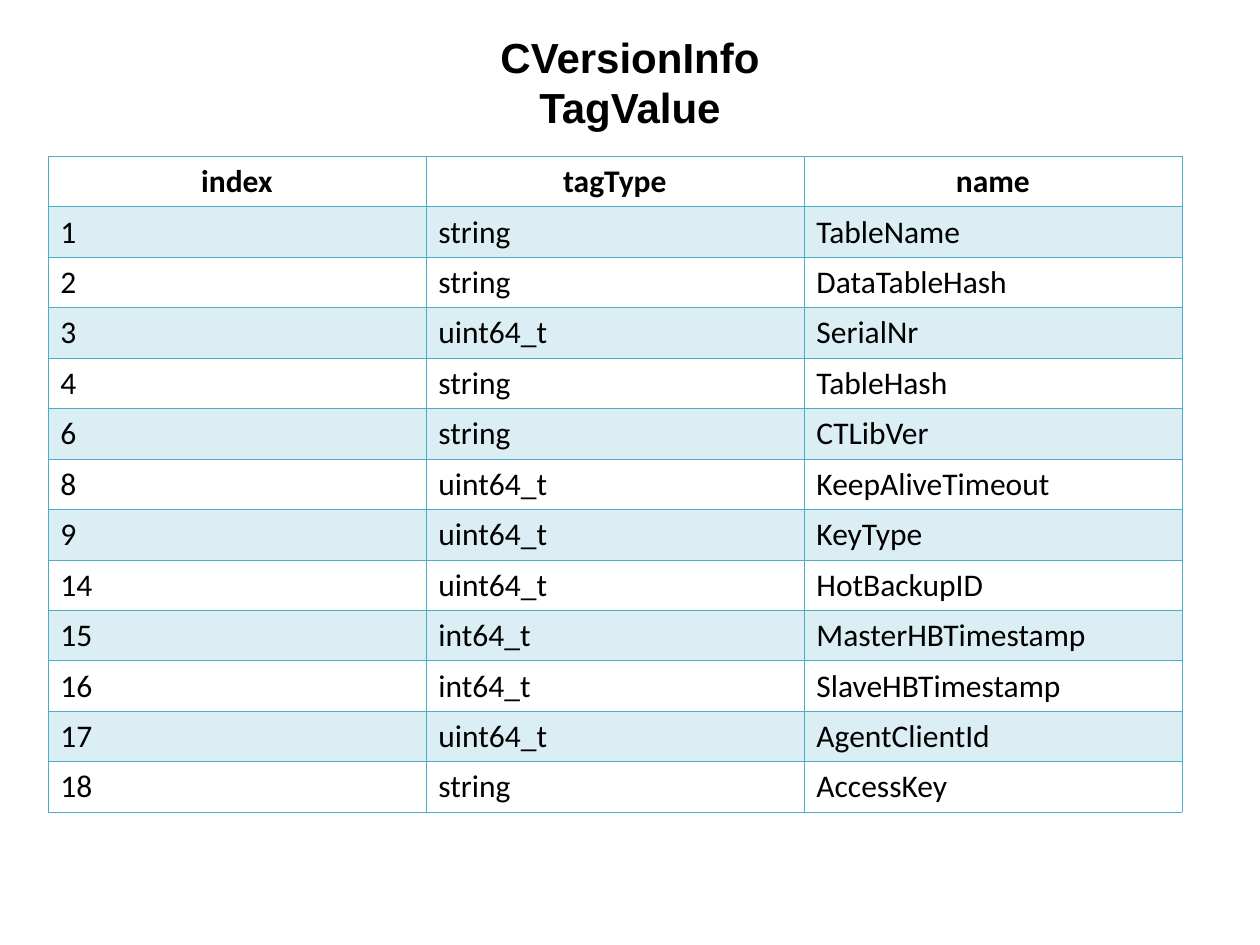
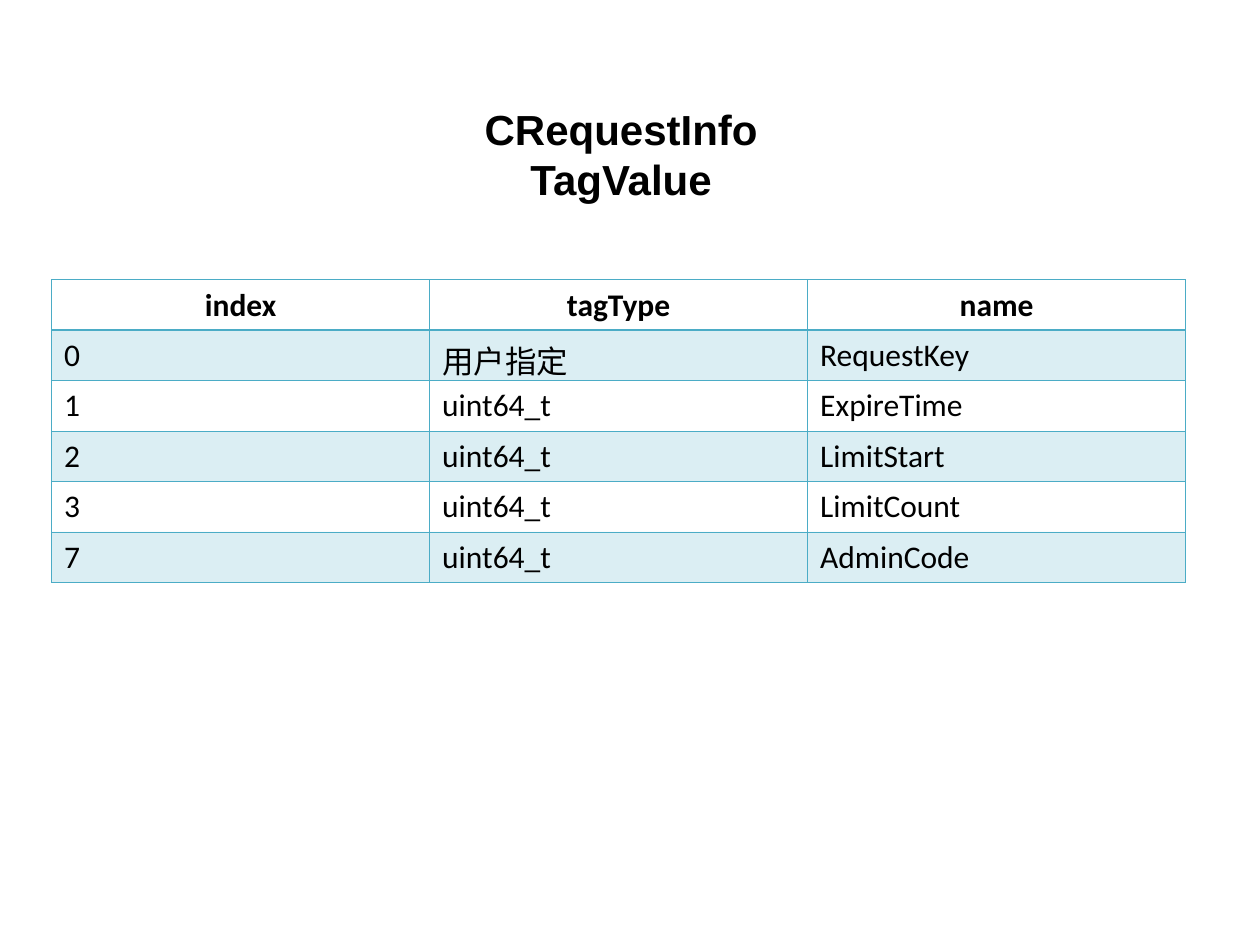
import dataclasses

import lxml.etree
import pptx
import pptx.dml.color
import pptx.enum.text
import pptx.oxml.ns
import pptx.presentation
import pptx.slide
import pptx.table
import pptx.text.text
import pptx.util

Inches = pptx.util.Inches
Pt = pptx.util.Pt
qn = pptx.oxml.ns.qn

BLACK = pptx.dml.color.RGBColor(0x00, 0x00, 0x00)
TEAL = pptx.dml.color.RGBColor(0x4B, 0xAC, 0xC6)
BAND_OPACITY = 20
THIN, THICK = Pt(0.45), Pt(0.96)

PAGE_WIDTH, PAGE_HEIGHT = Inches(10), Inches(7.5)
COLUMN_WIDTH = int(PAGE_WIDTH * 0.3)
ROW_HEIGHT = Inches(0.4)
TITLE_WIDTH, TITLE_HEIGHT = Inches(2.74), Inches(0.9)
HEADINGS = ("index", "tagType", "name")


@dataclasses.dataclass(frozen=True)
class TagPage:
    """Title lines, tag rows and the left and top inches of title and table."""
    title: tuple[str, ...]
    title_at: tuple[float, float]
    table_at: tuple[float, float]
    tags: tuple[tuple[str, str, str], ...]


PAGES = (
    TagPage(("CVersionInfo TagValue",), (3.63, 0.2), (0.38, 1.24), (
        ("1", "string", "TableName"),
        ("2", "string", "DataTableHash"),
        ("3", "uint64_t", "SerialNr"),
        ("4", "string", "TableHash"),
        ("6", "string", "CTLibVer"),
        ("8", "uint64_t", "KeepAliveTimeout"),
        ("9", "uint64_t", "KeyType"),
        ("14", "uint64_t", "HotBackupID"),
        ("15", "int64_t", "MasterHBTimestamp"),
        ("16", "int64_t", "SlaveHBTimestamp"),
        ("17", "uint64_t", "AgentClientId"),
        ("18", "string", "AccessKey"),
    )),
    TagPage(("CRequestInfo", "TagValue"), (3.56, 0.77), (0.41, 2.22), (
        ("0", "用户指定", "RequestKey"),
        ("1", "uint64_t", "ExpireTime"),
        ("2", "uint64_t", "LimitStart"),
        ("3", "uint64_t", "LimitCount"),
        ("7", "uint64_t", "AdminCode"),
    )),
)


def style_paragraph(para: pptx.text.text._Paragraph, font_name: str, size: int,
                    bold: bool, centred: bool) -> None:
    align = pptx.enum.text.PP_ALIGN
    para.alignment = align.CENTER if centred else align.LEFT
    para.font.name = font_name
    para.font.size = Pt(size)
    para.font.bold = bold
    para.font.color.rgb = BLACK


def add_title(slide: pptx.slide.Slide, page: TagPage) -> None:
    left, top = map(Inches, page.title_at)
    box = slide.shapes.add_textbox(left, top, TITLE_WIDTH, TITLE_HEIGHT)
    frame = box.text_frame
    frame.word_wrap = True
    frame.auto_size = pptx.enum.text.MSO_AUTO_SIZE.SHAPE_TO_FIT_TEXT
    frame.text = "\n".join(page.title)
    for para in frame.paragraphs:
        style_paragraph(para, "Arial", 24, bold=True, centred=True)


def add_borders(cell: pptx.table._Cell, top: int, bottom: int) -> None:
    """Rule all four sides; call before filling, as fills must follow lines."""
    properties = cell._tc.get_or_add_tcPr()
    for side, width in (("L", THIN), ("R", THIN), ("T", top), ("B", bottom)):
        line = lxml.etree.SubElement(properties, qn(f"a:ln{side}"), w=str(int(width)))
        fill = lxml.etree.SubElement(line, qn("a:solidFill"))
        lxml.etree.SubElement(fill, qn("a:srgbClr"), val=str(TEAL))


def fill_band(cell: pptx.table._Cell) -> None:
    cell.fill.solid()
    cell.fill.fore_color.rgb = TEAL
    colour = cell._tc.tcPr.find(f"{qn('a:solidFill')}/{qn('a:srgbClr')}")
    lxml.etree.SubElement(colour, qn("a:alpha"), val=str(BAND_OPACITY * 1000))


def fill_cell(cell: pptx.table._Cell, text: str, row: int) -> None:
    is_heading = row == 0
    add_borders(cell, top=THICK if row == 1 else THIN,
                bottom=THICK if is_heading else THIN)
    if row % 2:
        fill_band(cell)
    else:
        cell.fill.background()
    cell.vertical_anchor = pptx.enum.text.MSO_ANCHOR.MIDDLE
    cell.text = text
    para = cell.text_frame.paragraphs[0]
    style_paragraph(para, "Calibri", 18, bold=is_heading, centred=is_heading)
    para.space_before = Pt(4.5)


def add_tag_table(slide: pptx.slide.Slide, page: TagPage) -> None:
    rows = (HEADINGS, *page.tags)
    left, top = map(Inches, page.table_at)
    table = slide.shapes.add_table(
        len(rows), len(HEADINGS), left, top,
        COLUMN_WIDTH * len(HEADINGS), ROW_HEIGHT * len(rows)).table
    table.first_row = table.horz_banding = False
    for row, texts in enumerate(rows):
        for column, text in enumerate(texts):
            fill_cell(table.cell(row, column), text, row)


def main() -> None:
    deck = pptx.Presentation()
    deck.slide_width, deck.slide_height = PAGE_WIDTH, PAGE_HEIGHT
    blank = deck.slide_layouts[6]
    for page in PAGES:
        slide = deck.slides.add_slide(blank)
        add_title(slide, page)
        add_tag_table(slide, page)
    deck.save("out.pptx")


if __name__ == "__main__":
    main()
